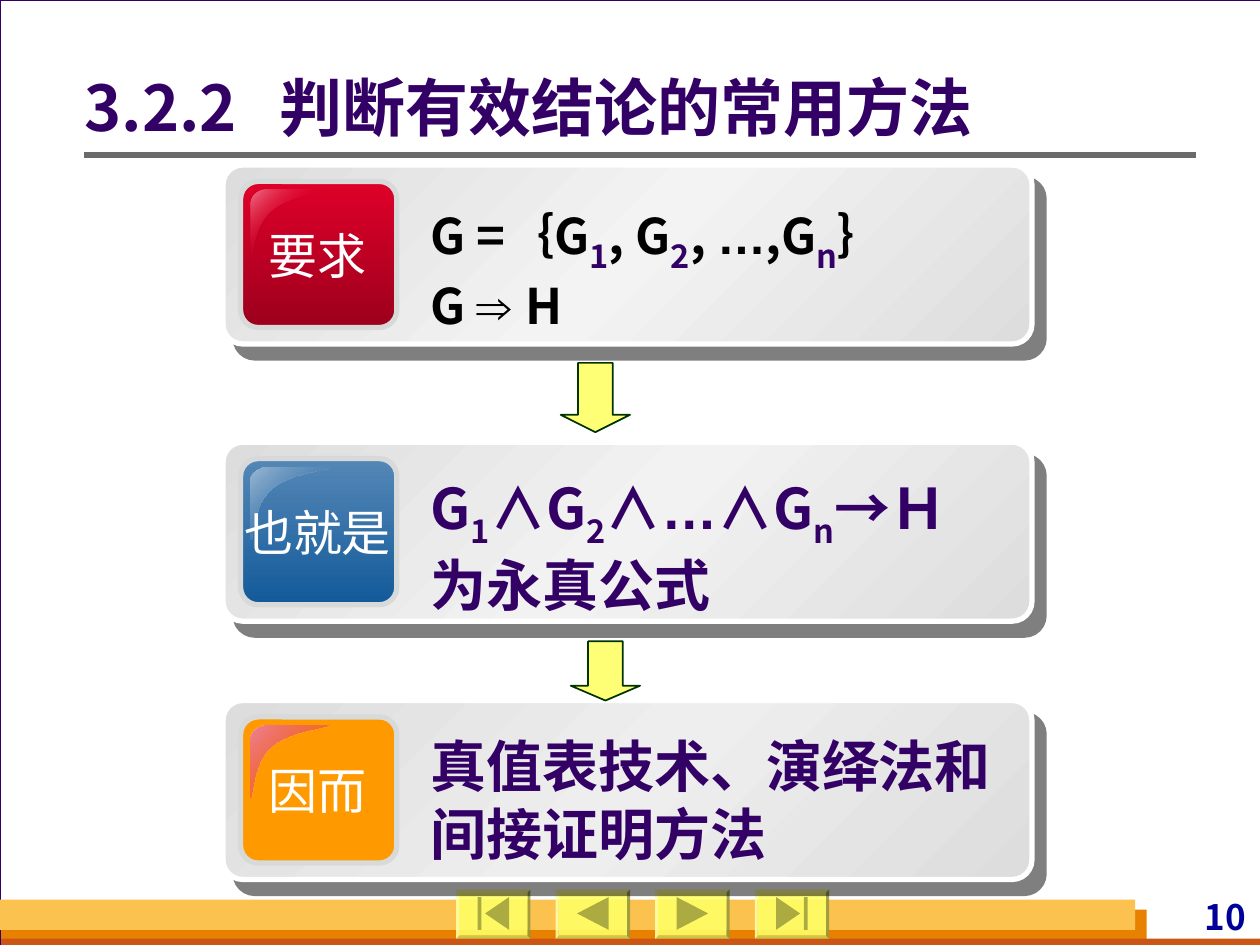
from lxml.etree import SubElement
from pptx import Presentation
from pptx.dml.color import RGBColor
from pptx.enum.shapes import MSO_CONNECTOR as Connector, MSO_SHAPE as Shape
from pptx.enum.text import MSO_ANCHOR as Anchor, PP_ALIGN as Align
from pptx.oxml import parse_xml
from pptx.oxml.ns import nsdecls, qn
from pptx.util import Inches, Pt

COLORS = {
    "canvas": "D8DADA", "white": "FFFFFF", "purple": "330066", "black": "000000",
    "orange": "E88000", "rust": "C95616", "gold": "FCC24F", "navy": "000099",
    "rule": "6B6B6B", "yellow": "FFFF66", "olive": "A3A33F", "green": "003300",
    "silver": "DDDDDD", "amber": "FF9900",
}
NOTO, ARIAL = "Noto Sans CJK SC", "Arial"
TITLE = "3.2.2\t判断有效结论的常用方法"
PAGE_NUMBER = "10"

BLACK = dict(size=28, color="black", bold=True)
PURPLE = dict(size=32, color="purple", bold=True)
SUB = dict(PURPLE, base=-25)
BLACK_ARIAL, PURPLE_ARIAL = dict(BLACK, font=ARIAL), dict(PURPLE, font=ARIAL)

CARDS = [
    dict(top=1.31, label="要求", middle="F3F3F3", text_top=1.53, text_height=1.64,
         icon=[(0, "DF0029"), (100, "9C001D")],
         gloss=[(0, "EE748A"), (50, "DF0029", 0), (100, "EE748A")],
         body=[[("G =｛G", BLACK), ("1", SUB), (", G", BLACK), ("2", SUB), (", ", BLACK),
                ("…", BLACK_ARIAL), (",G", BLACK), ("n", SUB), ("｝ ", BLACK), ("\n", BLACK),
                ("G ", BLACK), ("⇒ ", BLACK_ARIAL), ("H", BLACK)]]),
    dict(top=3.51, label="也就是", middle="F2F2F2", text_top=3.71, text_height=1.24,
         icon=[(0, "5487B6"), (100, "135A9A")],
         gloss=[(0, "9BB9D4"), (100, "135A9A", 0)],
         body=[[("G", PURPLE), ("1", SUB), ("∧G", PURPLE), ("2", SUB), ("∧", PURPLE),
                ("…", PURPLE_ARIAL), ("∧G", PURPLE), ("n", SUB), ("→Ｈ", PURPLE)],
               [("为永真公式", PURPLE)]]),
    dict(top=5.56, label="因而", middle="EEEEEE", text_top=5.76, text_height=1.17,
         icon="amber",
         gloss=[(0, "EF8397"), (100, "DF0029", 0)],
         body=[[("真值表技术、演绎法和间接证明方法", PURPLE)]]),
]
ARROWS = [(4.45, 2.88, 0.55, 0.55), (4.53, 5.09, 0.55, 0.47)]
BARS = [("orange", (0.01, 7.22, 9.09, 0.28)), ("rust", (0.01, 7.45, 10, 0.08)),
        ("gold", (0, 7.14, 9.01, 0.24))]

BUTTON_LEFT, BUTTON_TOP, BUTTON_PITCH = 3.62, 7.06, 0.79
BUTTON_WIDTH, BUTTON_HEIGHT = 0.59, 0.39
TRIANGLE = [(0.17, 0.19), (0.42, 0.06), (0.42, 0.32)]
STOP_TRIANGLE = [(0.23, 0.19), (0.42, 0.06), (0.42, 0.32)]
STOP_BAR = [(0.17, 0.06), (0.2, 0.06), (0.2, 0.32), (0.17, 0.32)]
BUTTONS = [([STOP_TRIANGLE, STOP_BAR], False), ([TRIANGLE], False),
           ([TRIANGLE], True), ([STOP_TRIANGLE, STOP_BAR], True)]

GLOSS_CURVES = [
    [(0.2, 0.07), (0.14, 0.07), (0.08, 0.12), (0.08, 0.18)],
    [(0.08, 0.64), (0.11, 0.65), (0.09, 0.37), (0.25, 0.24)],
    [(0.25, 0.24), (0.4, 0.11), (0.7, 0.1), (0.7, 0.07)],
]


def rgb(name):
    return RGBColor.from_string(COLORS[name])


def paint(shape, fill, line=None, width=1, alpha=None, angle=90):
    """Fill with a colour name or gradient stops, and outline the shape."""
    shape.shadow.inherit = False
    properties = shape._element.spPr
    if isinstance(fill, str):
        shape.fill.solid()
        shape.fill.fore_color.rgb = rgb(fill)
        if alpha:
            color = properties.find(qn("a:solidFill")).find(qn("a:srgbClr"))
            SubElement(color, qn("a:alpha"), val=str(alpha * 1000))
    else:
        shape.fill.background()
        gradient = parse_xml(f'<a:gradFill {nsdecls("a")} rotWithShape="1"><a:gsLst/>'
                             f'<a:lin ang="{angle * 60000}" scaled="0"/></a:gradFill>')
        for position, hex_color, *opacity in fill:
            stop = SubElement(gradient[0], qn("a:gs"), pos=str(position * 1000))
            color = SubElement(stop, qn("a:srgbClr"), val=hex_color)
            for value in opacity:
                SubElement(color, qn("a:alpha"), val=str(value * 1000))
        properties.replace(properties.find(qn("a:noFill")), gradient)
    if line:
        shape.line.color.rgb = rgb(line)
        shape.line.width = Pt(width)
    else:
        shape.line.fill.background()


def add_preset(shapes, kind, place, fill, adjust=(), **style):
    shape = shapes.add_shape(kind, *map(Inches, place))
    for index, value in enumerate(adjust):
        shape.adjustments[index] = value
    paint(shape, fill, **style)
    return shape


def add_outline(shapes, points, left, top, fill, **style):
    corners = [(Inches(left + x), Inches(top + y)) for x, y in points]
    builder = shapes.build_freeform(*corners[0])
    builder.add_line_segments(corners[1:])
    paint(builder.convert_to_shape(), fill, **style)


def add_span(para, text, size=28, color="white", font=NOTO, bold=False, base=0):
    if text == "\n":
        para.add_line_break()
        return
    span = para.add_run()
    span.text = text
    span.font.size, span.font.bold, span.font.name = Pt(size), bold, font
    span.font.color.rgb = rgb(color)
    properties = span.font._element
    east_asian = parse_xml(f'<a:ea {nsdecls("a")} typeface="{font}"/>')
    properties.find(qn("a:latin")).addnext(east_asian)
    if base:
        properties.set("baseline", str(base * 1000))


def add_text(shapes, place, paragraphs, align=Align.LEFT, wrap=True, inset=(0.1, 0.05)):
    box = shapes.add_textbox(*map(Inches, place))
    frame = box.text_frame
    frame.word_wrap = wrap
    frame.margin_left = frame.margin_right = Inches(inset[0])
    frame.margin_top = frame.margin_bottom = Inches(inset[1])
    for index, spans in enumerate(paragraphs):
        para = frame.add_paragraph() if index else frame.paragraphs[0]
        para.alignment = align
        for text, style in spans:
            add_span(para, text, **style)


def bezier(start, first, second, end, steps=12):
    for step in range(steps + 1):
        t = step / steps
        weights = ((1 - t) ** 3, 3 * t * (1 - t) ** 2, 3 * t * t * (1 - t), t ** 3)
        yield tuple(sum(w * point[axis] for w, point in zip(weights, (start, first, second, end)))
                    for axis in (0, 1))


def add_card(page, top, label, middle, icon, gloss, body, text_top, text_height):
    shapes = page.shapes.add_group_shape().shapes
    silver = COLORS["silver"]
    panel = add_preset(shapes, Shape.ROUNDED_RECTANGLE, (1.77, top, 6.42, 1.42),
                       [(0, silver), (50, middle), (100, silver)], [0.11],
                       line="white", width=3, angle=45)
    effects = panel._element.spPr.find(qn("a:effectLst"))
    shadow = SubElement(effects, qn("a:outerShdw"), dist=str(Pt(10.6)),
                        dir=str(49 * 60000), algn="ctr", rotWithShape="0")
    color = SubElement(shadow, qn("a:srgbClr"), val=COLORS["black"])
    SubElement(color, qn("a:alpha"), val="50000")
    left, icon_top = 1.91, top + 0.13
    add_preset(shapes, Shape.ROUNDED_RECTANGLE, (left, icon_top, 1.24, 1.16), icon, [0.12],
               line="canvas", width=3)
    points = [point for curve in GLOSS_CURVES for point in bezier(*curve)]
    add_outline(shapes, points, left, icon_top, gloss, angle=45)
    add_text(shapes, (1.82, top + 0.43, 1.4, 0.57), [[(label, dict(font=ARIAL))]],
             align=Align.CENTER, wrap=False, inset=(0, 0.05))
    add_text(shapes, (3.32, text_top, 4.72, text_height), body)


def add_button(page, left, glyph, mirrored):
    add_preset(page.shapes, Shape.BEVEL, (left, BUTTON_TOP, BUTTON_WIDTH, BUTTON_HEIGHT),
               "yellow", [0.06], alpha=90)
    for points in glyph:
        if mirrored:
            points = [(BUTTON_WIDTH - x, y) for x, y in points]
        add_outline(page.shapes, points, left, BUTTON_TOP, "olive", alpha=90)


def add_title(page):
    title = page.shapes.title
    title._element.getparent().append(title._element)
    title.left, title.top, title.width, title.height = map(Inches, (0.67, 0.38, 8.82, 1.01))
    frame = title.text_frame
    frame.vertical_anchor = Anchor.MIDDLE
    frame.margin_left = 0
    para = frame.paragraphs[0]
    para.alignment, para.line_spacing = Align.LEFT, 0.9
    tabs = SubElement(para._p.get_or_add_pPr(), qn("a:tabLst"))
    SubElement(tabs, qn("a:tab"), pos=str(Inches(1.55)), algn="l")
    add_span(para, TITLE, size=36, color="purple", bold=True)


def main():
    deck = Presentation()
    deck.slide_width, deck.slide_height = Inches(10), Inches(7.5)
    page = deck.slides.add_slide(deck.slide_layouts[5])
    page.background.fill.solid()
    page.background.fill.fore_color.rgb = rgb("canvas")
    add_preset(page.shapes, Shape.RECTANGLE, (0, 0, 10.01, 7.5), "white",
               line="purple", width=0.75)
    for color, place in BARS:
        add_preset(page.shapes, Shape.RECTANGLE, place, color)
    add_text(page.shapes, (8.86, 7.11, 1.07, 0.33),
             [[(PAGE_NUMBER, dict(size=20, color="navy", bold=True))]],
             align=Align.RIGHT, inset=(0.04, 0))
    rule = page.shapes.add_connector(Connector.STRAIGHT,
                                     *map(Inches, (0.67, 1.23, 9.49, 1.23)))
    rule.line.color.rgb, rule.line.width = rgb("rule"), Pt(3)
    SubElement(rule._element.spPr, qn("a:effectLst"))
    for index, (glyph, mirrored) in enumerate(BUTTONS):
        add_button(page, BUTTON_LEFT + index * BUTTON_PITCH, glyph, mirrored)
    add_title(page)
    for card in CARDS:
        add_card(page, **card)
    for place in ARROWS:
        add_preset(page.shapes, Shape.DOWN_ARROW, place, "yellow", [0.5, 0.25],
                   line="green", alpha=90)
    deck.save("out.pptx")


if __name__ == "__main__":
    main()
